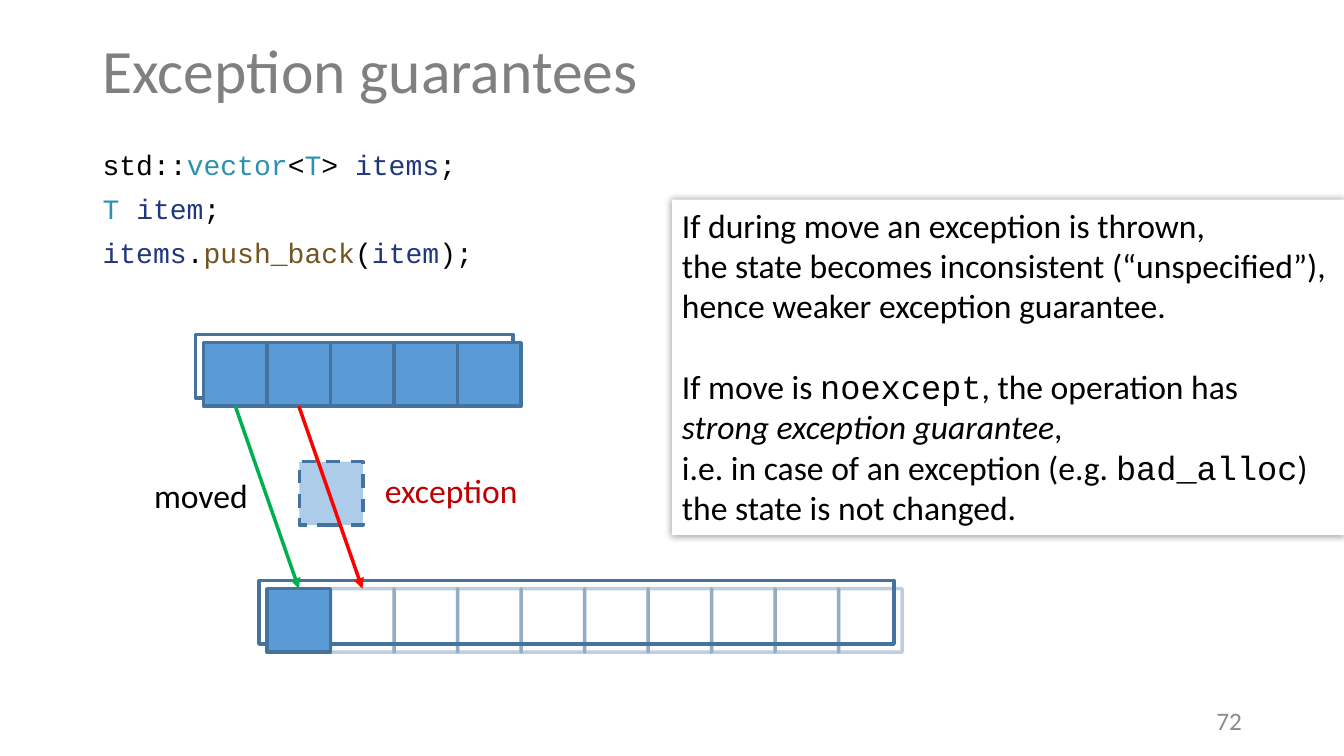
from dataclasses import dataclass
from typing import Optional

from lxml.etree import SubElement
from pptx import Presentation
from pptx.dml.color import RGBColor
from pptx.enum.dml import MSO_LINE_DASH_STYLE as Dash
from pptx.enum.shapes import MSO_CONNECTOR_TYPE as Connector, MSO_SHAPE as Shape
from pptx.enum.text import MSO_ANCHOR as Anchor, MSO_AUTO_SIZE as AutoSize, PP_ALIGN as Align
from pptx.oxml.ns import qn
from pptx.util import Pt

BLACK = RGBColor(0x00, 0x00, 0x00)
WHITE = RGBColor(0xFF, 0xFF, 0xFF)
TITLE_GRAY = RGBColor(0x80, 0x80, 0x80)
NUMBER_GRAY = RGBColor(0x8C, 0x8C, 0x8C)
TYPE_TEAL = RGBColor(0x2B, 0x91, 0xAF)
NAME_NAVY = RGBColor(0x1F, 0x37, 0x7F)
CALL_BROWN = RGBColor(0x74, 0x53, 0x1F)
CELL_BLUE = RGBColor(0x5B, 0x9B, 0xD5)
EDGE_BLUE = RGBColor(0x43, 0x73, 0x9E)
MOVE_GREEN = RGBColor(0x00, 0xB0, 0x50)
FAIL_RED = RGBColor(0xFF, 0x00, 0x00)
LABEL_RED = RGBColor(0xC0, 0x00, 0x00)

SANS, MONO = "Calibri", "Courier New"
CELL = 45.36
BACK_OFFSET = 5.76
LINE_WIDTH = 2.5


@dataclass
class Span:
    text: str
    color: RGBColor = BLACK
    font: str = SANS
    italic: bool = False


@dataclass
class Box:
    left: float
    top: float
    width: float
    height: float


@dataclass
class TextItem:
    box: Box
    span: Span
    size: float
    anchor: Anchor = Anchor.TOP
    align: Align = Align.LEFT
    spacing: float = 1.0


@dataclass
class Row:
    left: float
    top: float
    count: int
    filled: int


def code(text: str, color: RGBColor = BLACK) -> Span:
    return Span(text, color, MONO)


def place(box: Box) -> tuple:
    return Pt(box.left), Pt(box.top), Pt(box.width), Pt(box.height)


def write_spans(paragraph, spans: list[Span], size: float) -> None:
    for span in spans:
        for index, piece in enumerate(span.text.split("\n")):
            if index:
                paragraph.add_line_break()
            if piece:
                run = paragraph.add_run()
                run.text = piece
                run.font.name, run.font.size = span.font, Pt(size)
                run.font.color.rgb = span.color
                run.font.italic = span.italic


def write_paragraphs(frame, paragraphs: list[list[Span]], size: float, gap: float) -> None:
    frame.word_wrap = True
    for index, spans in enumerate(paragraphs):
        paragraph = frame.add_paragraph() if index else frame.paragraphs[0]
        paragraph.alignment = Align.LEFT
        if index:
            paragraph.space_before = Pt(gap)
        write_spans(paragraph, spans, size)


def add_text(slide, item: TextItem) -> None:
    frame = slide.shapes.add_textbox(*place(item.box)).text_frame
    frame.word_wrap = True
    frame.vertical_anchor = item.anchor
    paragraph = frame.paragraphs[0]
    paragraph.alignment, paragraph.line_spacing = item.align, item.spacing
    write_spans(paragraph, [item.span], item.size)


def set_alpha(fill, percent: int) -> None:
    color = next(fill.iter(qn("a:srgbClr")))
    SubElement(color, qn("a:alpha"), val=str(percent * 1000))


def add_rectangle(slide, box: Box, fill: Optional[RGBColor], edge: Optional[RGBColor] = EDGE_BLUE):
    shape = slide.shapes.add_shape(Shape.RECTANGLE, *place(box))
    shape.shadow.inherit = False
    if fill is None:
        shape.fill.background()
    else:
        shape.fill.solid()
        shape.fill.fore_color.rgb = fill
    if edge is None:
        shape.line.fill.background()
    else:
        shape.line.color.rgb = edge
        shape.line.width = Pt(LINE_WIDTH)
    return shape


def add_row(slide, row: Row) -> list:
    """Draw the storage outline and its cells, last cell first."""
    add_rectangle(slide, Box(row.left - BACK_OFFSET, row.top - BACK_OFFSET, row.count * CELL, CELL), WHITE)
    cells = []
    for index in reversed(range(row.count)):
        full = index < row.filled
        cell = add_rectangle(slide, Box(row.left + index * CELL, row.top, CELL, CELL), CELL_BLUE if full else None)
        if not full:
            set_alpha(cell.line._get_or_add_ln(), 34)
        cells.insert(0, cell)
    return cells


def add_arrow(slide, start, end, color: RGBColor) -> None:
    arrow = slide.shapes.add_connector(Connector.STRAIGHT, 0, 0, 0, 0)
    arrow.begin_connect(start, 2)
    arrow.end_connect(end, 0)
    arrow.line.color.rgb = color
    arrow.line.width = Pt(LINE_WIDTH)
    SubElement(arrow.line._get_or_add_ln(), qn("a:tailEnd"), type="triangle")
    SubElement(arrow._element.spPr, qn("a:effectLst"))


TEXTS = [
    TextItem(Box(66.24, 0, 828, 104.4), Span("Exception guarantees", TITLE_GRAY), 44, Anchor.MIDDLE, spacing=0.9),
    TextItem(Box(678.24, 500.4, 216, 28.8), Span("72", NUMBER_GRAY), 18, Anchor.MIDDLE, Align.RIGHT),
    TextItem(Box(102.96, 335.52, 84.96, 36), Span("moved"), 24),
    TextItem(Box(267.84, 331.92, 111.6, 36), Span("exception", LABEL_RED), 24),
]

CODE_LINES = [
    [code("std::"), code("vector", TYPE_TEAL), code("<"), code("T", TYPE_TEAL), code("> "),
     code("items", NAME_NAVY), code(";")],
    [code("T", TYPE_TEAL), code(" "), code("item", NAME_NAVY), code(";")],
    [code("items", NAME_NAVY), code("."), code("push_back", CALL_BROWN), code("("),
     code("item", NAME_NAVY), code(");")],
]

NOTE = [
    [Span("If during move an exception is thrown,\nthe state becomes inconsistent (“unspecified”),\n"
          "hence weaker exception guarantee.")],
    [Span("If move is "), code("noexcept"), Span(", the operation has\n"),
     Span("strong exception guarantee", italic=True), Span(",\ni.e. in case of an exception (e.g. "),
     code("bad_alloc"), Span(") the state is not changed.")],
]


def main() -> None:
    presentation = Presentation()
    presentation.slide_width, presentation.slide_height = Pt(960), Pt(540)
    slide = presentation.slides.add_slide(presentation.slide_layouts[6])

    # Code sample
    code_frame = slide.shapes.add_textbox(*place(Box(66.24, 104.4, 828, 396))).text_frame
    write_paragraphs(code_frame, CODE_LINES, 20, 10)
    for paragraph in code_frame.paragraphs:
        paragraph.line_spacing = 0.9

    # Old and new storage
    old_cells = add_row(slide, Row(145.44, 244.8, 5, 5))
    new_cells = add_row(slide, Row(190.8, 420.48, 10, 1))

    # Element in flight
    moving = add_rectangle(slide, Box(213.84, 329.76, CELL, CELL), CELL_BLUE)
    set_alpha(moving._element.spPr.find(qn("a:solidFill")), 50)
    moving.line.dash_style = Dash.DASH

    # Moves
    for start, end, color in zip(old_cells, new_cells, (MOVE_GREEN, FAIL_RED)):
        add_arrow(slide, start, end, color)

    # Explanation with a soft shadow
    note = add_rectangle(slide, Box(480, 142.56, 480, 239.76), WHITE, None)
    shadow = SubElement(note._element.spPr.find(qn("a:effectLst")), qn("a:outerShdw"),
                        blurRad=str(Pt(5)), dist="0", dir="0", algn="ctr", rotWithShape="0")
    set_alpha_color = SubElement(shadow, qn("a:srgbClr"), val=str(BLACK))
    SubElement(set_alpha_color, qn("a:alpha"), val="40000")
    note.text_frame.vertical_anchor = Anchor.TOP
    note.text_frame.auto_size = AutoSize.SHAPE_TO_FIT_TEXT
    write_paragraphs(note.text_frame, NOTE, 24, 29)

    # Title, labels and slide number
    for item in TEXTS:
        add_text(slide, item)

    presentation.save("out.pptx")


if __name__ == "__main__":
    main()
